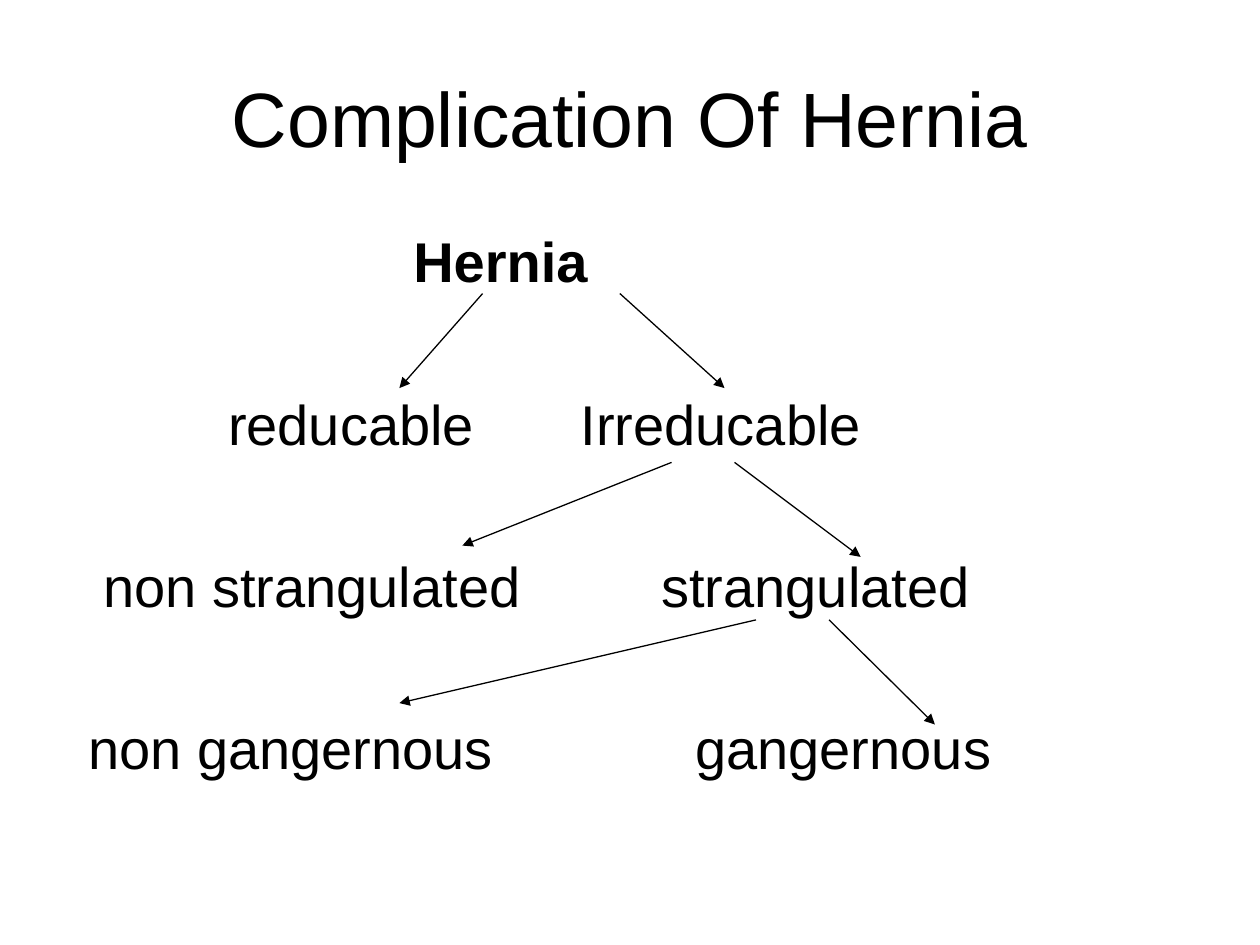
from dataclasses import dataclass

import lxml.etree
import pptx
import pptx.dml.color
import pptx.enum.shapes
import pptx.enum.text
import pptx.oxml.ns
import pptx.util

Inches = pptx.util.Inches
Pt = pptx.util.Pt
qn = pptx.oxml.ns.qn
FONT = "Arial"
BLACK = "000000"
LEVEL_GAP = 54.3


@dataclass
class Label:
    text: str
    indent: float
    bold: bool = False


@dataclass
class Arrow:
    start: tuple[float, float]
    end: tuple[float, float]


LEFT_BRANCH = [
    Label("Hernia", 2.68, bold=True),
    Label("reducable", 1.21),
    Label("non strangulated", 0.22),
    Label("non gangernous", 0.1),
]

RIGHT_BRANCH = [
    Label("Irreducable", 0),
    Label("strangulated", 0.64),
    Label("gangernous", 0.91),
]

ARROWS = [
    Arrow((3.83, 2.33), (3.17, 3.08)),
    Arrow((4.92, 2.33), (5.75, 3.08)),
    Arrow((5.33, 3.67), (3.67, 4.33)),
    Arrow((5.83, 3.67), (6.83, 4.42)),
    Arrow((6, 4.92), (3.17, 5.58)),
    Arrow((6.58, 4.92), (7.42, 5.75)),
]


def color(value: str) -> pptx.dml.color.RGBColor:
    return pptx.dml.color.RGBColor.from_string(value)


def place(box, left: float, top: float, width: float, height: float) -> None:
    box.left, box.top = Inches(left), Inches(top)
    box.width, box.height = Inches(width), Inches(height)
    box.text_frame.word_wrap = True
    box.text_frame.auto_size = pptx.enum.text.MSO_AUTO_SIZE.NONE


def format_runs(para, size: float, bold: bool = False) -> None:
    for span in para.runs:
        span.font.name = FONT
        span.font.size = Pt(size)
        span.font.bold = bold
        span.font.color.rgb = color(BLACK)


def write_title(box, text: str) -> None:
    place(box, 0.5, 0.3, 9, 1.25)
    box.text_frame.vertical_anchor = pptx.enum.text.MSO_ANCHOR.MIDDLE
    box.text_frame.text = text
    para = box.text_frame.paragraphs[0]
    para.alignment = pptx.enum.text.PP_ALIGN.CENTER
    format_runs(para, 44)


def write_branch(box, labels: list[Label]) -> None:
    frame = box.text_frame
    for index, label in enumerate(labels):
        para = frame.add_paragraph() if index else frame.paragraphs[0]
        para.text = label.text
        properties = para._p.get_or_add_pPr()
        properties.set("marL", str(Inches(label.indent)))
        properties.set("indent", "0")
        lxml.etree.SubElement(properties, qn("a:buNone"))
        para.space_before = Pt(LEVEL_GAP if index else 0)
        format_runs(para, 32, label.bold)


def draw_arrow(page, arrow: Arrow) -> None:
    points = [Inches(value) for value in arrow.start + arrow.end]
    connector = page.shapes.add_connector(
        pptx.enum.shapes.MSO_CONNECTOR.STRAIGHT, *points
    )
    connector.line.color.rgb = color(BLACK)
    connector.line.width = Pt(0.75)
    lxml.etree.SubElement(connector.line._get_or_add_ln(), qn("a:tailEnd"), type="triangle")
    lxml.etree.SubElement(connector._element.spPr, qn("a:effectLst"))


def main() -> None:
    deck = pptx.Presentation()
    deck.slide_width, deck.slide_height = Inches(10), Inches(7.5)
    page = deck.slides.add_slide(deck.slide_layouts[1])
    write_title(page.shapes.title, "Complication Of Hernia")
    left_box = page.placeholders[1]
    place(left_box, 0.5, 1.75, 9, 4.95)
    write_branch(left_box, LEFT_BRANCH)
    right_box = page.shapes.add_textbox(0, 0, 0, 0)
    place(right_box, 4.51, 3.04, 4.99, 3.66)
    write_branch(right_box, RIGHT_BRANCH)
    for arrow in ARROWS:
        draw_arrow(page, arrow)
    deck.save("out.pptx")


if __name__ == "__main__":
    main()
